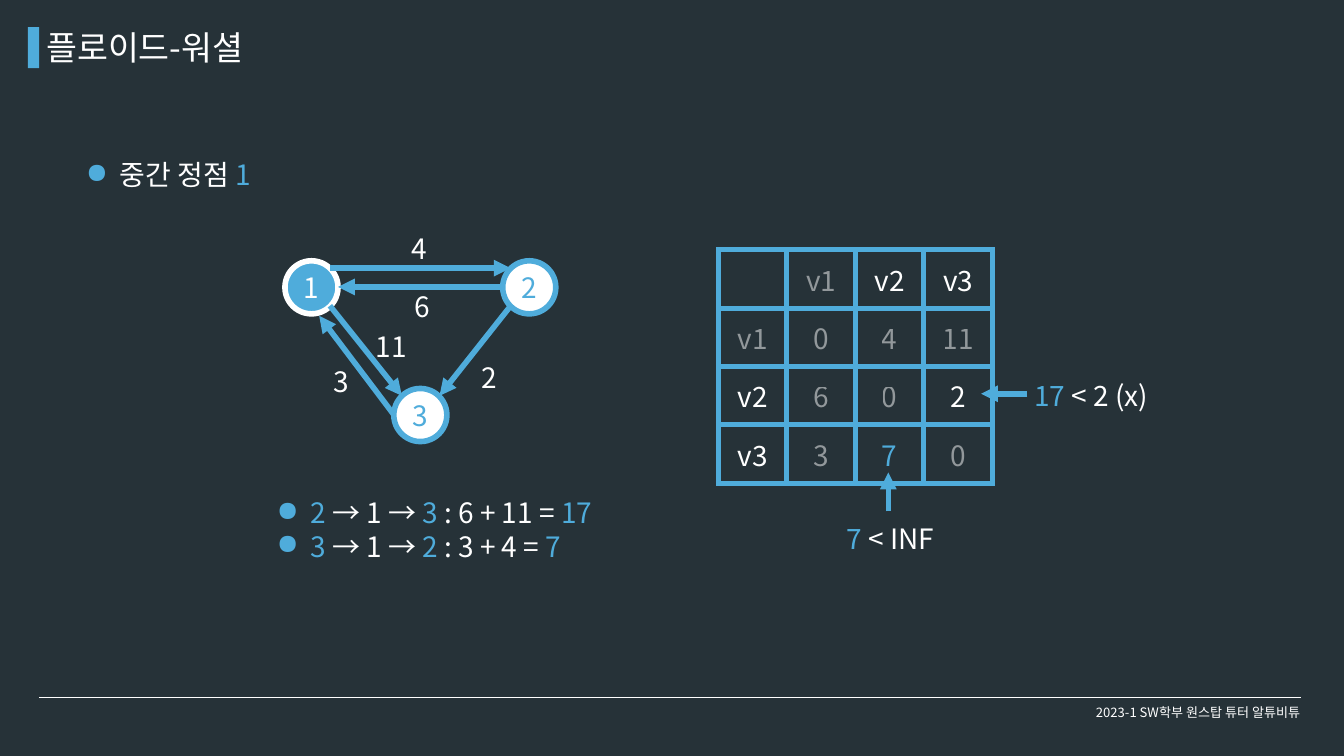
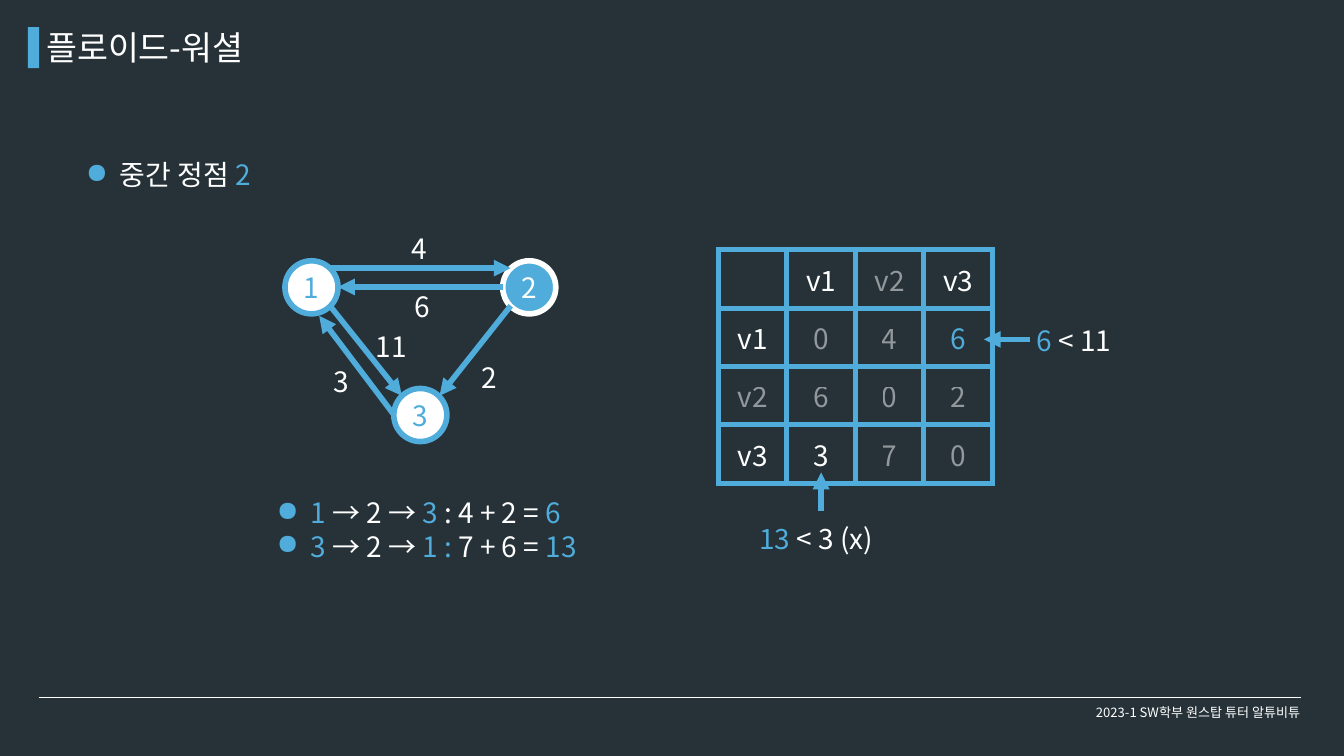
import itertools

import lxml.etree
import pptx
import pptx.dml.color
import pptx.enum.shapes
import pptx.enum.text
import pptx.oxml.ns
import pptx.util

Pt = pptx.util.Pt
RGB = pptx.dml.color.RGBColor.from_string
qn = pptx.oxml.ns.qn
sub = lxml.etree.SubElement
MID = pptx.enum.text.MSO_ANCHOR.MIDDLE
CENTER = pptx.enum.text.PP_ALIGN.CENTER
SHAPE = pptx.enum.shapes.MSO_SHAPE
STRAIGHT = pptx.enum.shapes.MSO_CONNECTOR.STRAIGHT

FONT = "Noto Sans CJK KR"
HUES = {"back": "263238", "sky": "4FACDB", "white": "FFFFFF", "dim": "FFFFFF"}

# Graph: node corners, edges from tail to head, and edge weights
SIZE = 56.9
NODES = {1: (305.3, 279.4), 2: (538.6, 279.4), 3: (421.9, 416.2)}
EDGES = [
    (353.5, 287.3, 547.2, 287.3),
    (353.5, 327.6, 430.6, 424.1),
    (547.2, 327.6, 470.9, 424.1),
    (538.6, 307.4, 362.2, 307.4),
    (421.9, 444.2, 342, 338.4),
]
COSTS = [
    ("4", 434.2, 244.1, 33),
    ("6", 437, 306.7, 33),
    ("11", 395.3, 349.2, 51),
    ("3", 350.6, 387.4, 33),
    ("2", 509, 383, 33),
]

# Each step: middle vertex, distances, improved cell, paths, and the two
# verdicts as (parts, text box, arrow)
STEPS = [
    {
        "mid": 1,
        "dist": [[0, 4, 11], [6, 0, 2], [3, 7, 0]],
        "new": (3, 2),
        "ways": [["2 ", "→ 1 → ", "3", " : 6 + 11 = ", "17"],
                 ["3 ", "→ 1 → ", "2", " : 3 + 4 = ", "7"]],
        "tests": [
            (["17 ", "< 2 (x)"], (1100.9, 402.5, 148, 44), (1100.9, 421.9, 1051.2, 421.9)),
            (["7 ", "< INF"], (900, 555.1, 114, 44), (951.8, 547.9, 951.8, 506.2)),
        ],
    },
    {
        "mid": 2,
        "dist": [[0, 4, 6], [6, 0, 2], [3, 7, 0]],
        "new": (1, 3),
        "ways": [["1 ", "→ 2 → ", "3", " : 4 + 2 = ", "6"],
                 ["3 ", "→ 2 → ", "1 : ", "7 + 6 = ", "13"]],
        "tests": [
            (["6 ", "< 11"], (1103.8, 343.4, 104, 44), (1103.8, 363.6, 1054.1, 363.6)),
            (["13 ", "< 3 (x)"], (806.4, 555.1, 148, 44), (879.8, 547.9, 879.8, 506.2)),
        ],
    },
]


def write(frame, lines, hues, size=30, align=None, dots=False, wrap=True):
    """Fill a text frame; the runs of each line take the hues in turn."""
    frame.word_wrap = wrap
    for i, parts in enumerate(lines):
        para = frame.add_paragraph() if i else frame.paragraphs[0]
        para.alignment = align
        para.font.size = Pt(size)
        para.font.name = FONT
        props = para._p.pPr
        sub(props.find(qn("a:defRPr")), qn("a:ea"), typeface=FONT)
        if dots:
            props.set("marL", str(Pt(36)))
            props.set("indent", str(-Pt(36)))
            tint = lxml.etree.Element(qn("a:buClr"))
            sub(tint, qn("a:srgbClr"), val=HUES["sky"])
            mark = lxml.etree.Element(qn("a:buChar"), char="●")
            props.insert(0, tint)
            props.insert(1, mark)
        for part, hue in zip(parts, itertools.cycle(hues)):
            run = para.add_run()
            run.text = part
            run.font.color.rgb = RGB(HUES[hue])
            if hue == "dim":
                sub(run._r.find(".//" + qn("a:srgbClr")), qn("a:alpha"), val="50000")


def draw(slide, ends, hue="sky", width=6, arrow=True):
    """Draw a straight line, with an arrowhead at its end if asked."""
    line = slide.shapes.add_connector(STRAIGHT, *map(Pt, ends))
    line.line.color.rgb = RGB(HUES[hue])
    line.line.width = Pt(width)
    if arrow:
        sub(line.line._get_or_add_ln(), qn("a:tailEnd"), type="triangle")
    sub(line._element.spPr, qn("a:effectLst"))


deck = pptx.Presentation()
deck.slide_width, deck.slide_height = Pt(1440), Pt(810)
ground = deck.slide_master.background.fill
ground.solid()
ground.fore_color.rgb = RGB(HUES["back"])

for step in STEPS:
    slide = deck.slides.add_slide(deck.slide_layouts[6])
    shapes = slide.shapes
    mid = step["mid"]

    # Frame of the slide
    draw(slide, (42, 747.4, 1394, 747.4), "white", 0.75, False)
    bar = shapes.add_shape(SHAPE.RECTANGLE, Pt(30), Pt(29), Pt(12), Pt(44))
    bar.shadow.inherit = False
    bar.fill.solid()
    bar.fill.fore_color.rgb = RGB(HUES["sky"])
    bar.line.fill.background()
    title = shapes.add_textbox(Pt(42.5), Pt(25), Pt(684), Pt(51))
    write(title.text_frame, [["플로이드-워셜"]], ["white"], 36)

    # Distance table
    grid = shapes.add_table(4, 4, Pt(769.7), Pt(267.8), Pt(293.6), Pt(250)).table
    grid.first_row = grid.horz_banding = False
    heads = ["v1", "v2", "v3"]
    rows = [[""] + heads] + [[h] + d for h, d in zip(heads, step["dist"])]
    for r, c in itertools.product(range(4), repeat=2):
        cell = grid.cell(r, c)
        cell.vertical_anchor = MID
        cell.fill.background()
        for i, side in enumerate(["lnL", "lnR", "lnT", "lnB"]):
            edge = lxml.etree.Element(qn("a:" + side), w=str(Pt(6)))
            sub(sub(edge, qn("a:solidFill")), qn("a:srgbClr"), val=HUES["sky"])
            cell._tc.tcPr.insert(i, edge)
        if (r, c) == (0, 0):
            continue
        if (r, c) == step["new"]:
            hue = "sky"
        else:
            hue = "dim" if mid in (r, c) or r == c else "white"
        write(cell.text_frame, [[str(rows[r][c])]], [hue], align=CENTER)

    # Graph
    for name, (x, y) in NODES.items():
        fill, rim = ("sky", "white") if name == mid else ("white", "sky")
        node = shapes.add_shape(SHAPE.OVAL, Pt(x), Pt(y), Pt(SIZE), Pt(SIZE))
        node.shadow.inherit = False
        node.fill.solid()
        node.fill.fore_color.rgb = RGB(HUES[fill])
        node.line.color.rgb = RGB(HUES[rim])
        node.line.width = Pt(6)
        node.text_frame.vertical_anchor = MID
        write(node.text_frame, [[str(name)]], [rim], align=CENTER)
    for ends in EDGES:
        draw(slide, ends)
    for cost, x, y, width in COSTS:
        label = shapes.add_textbox(Pt(x), Pt(y), Pt(width), Pt(44))
        write(label.text_frame, [[cost]], ["white"], wrap=False)

    # Verdicts beside the table
    for parts, place, ends in step["tests"]:
        draw(slide, ends)
        label = shapes.add_textbox(*map(Pt, place))
        write(label.text_frame, [parts], ["sky", "white"], wrap=False)

    # Paths, heading and footer
    ways = shapes.add_textbox(Pt(289.4), Pt(527.8), Pt(419), Pt(80))
    write(ways.text_frame, step["ways"], ["sky", "white"], dots=True)
    head = shapes.add_textbox(Pt(85), Pt(165.6), Pt(234), Pt(44))
    write(head.text_frame, [["중간 정점 ", str(mid)]], ["white", "sky"], dots=True)
    foot = shapes.add_textbox(Pt(1139.8), Pt(742.3), Pt(288), Pt(41))
    foot.text_frame.vertical_anchor = MID
    write(foot.text_frame, [["2023-1 SW학부 원스탑 튜터 알튜비튜"]], ["white"], 14, CENTER)

deck.save("out.pptx")
